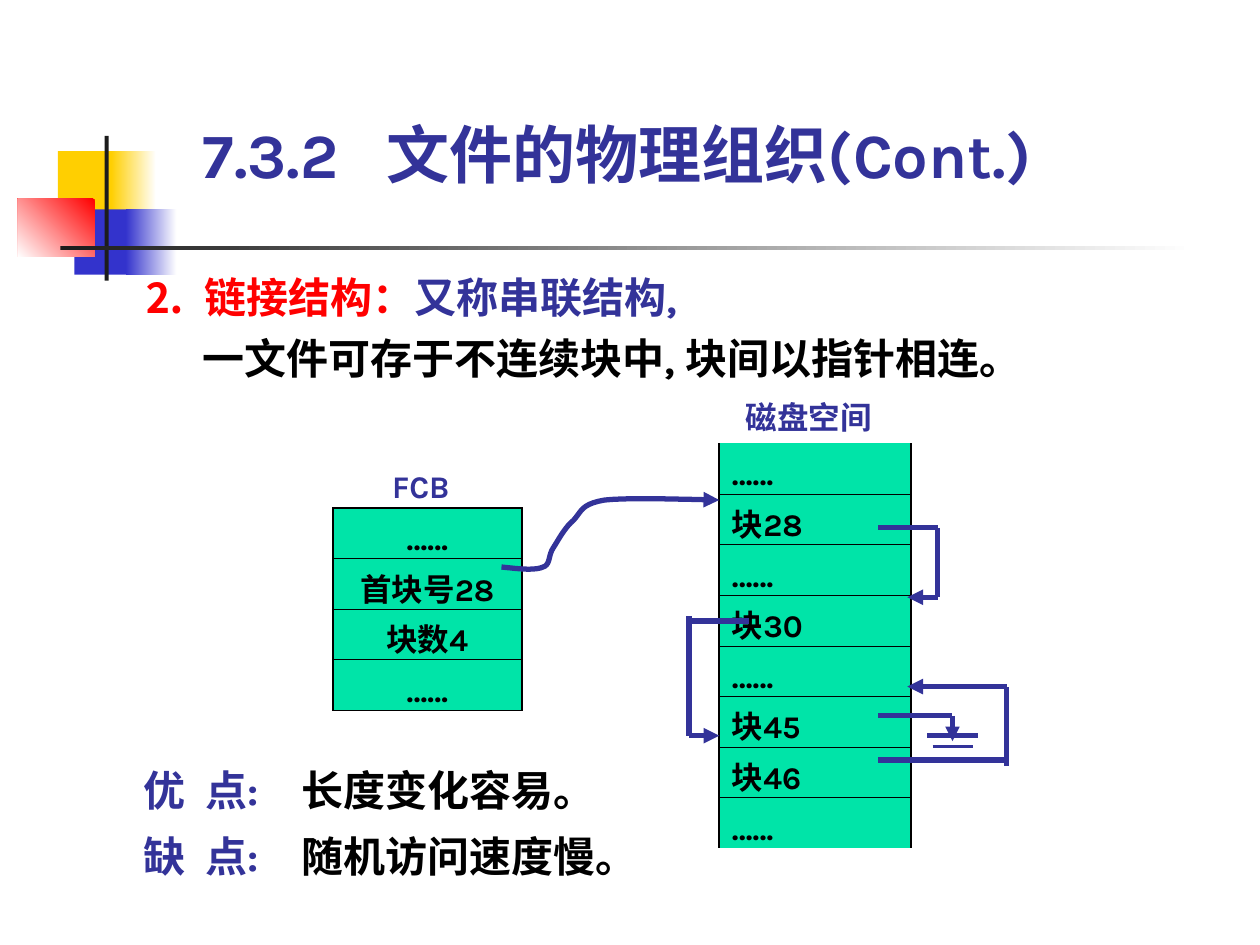
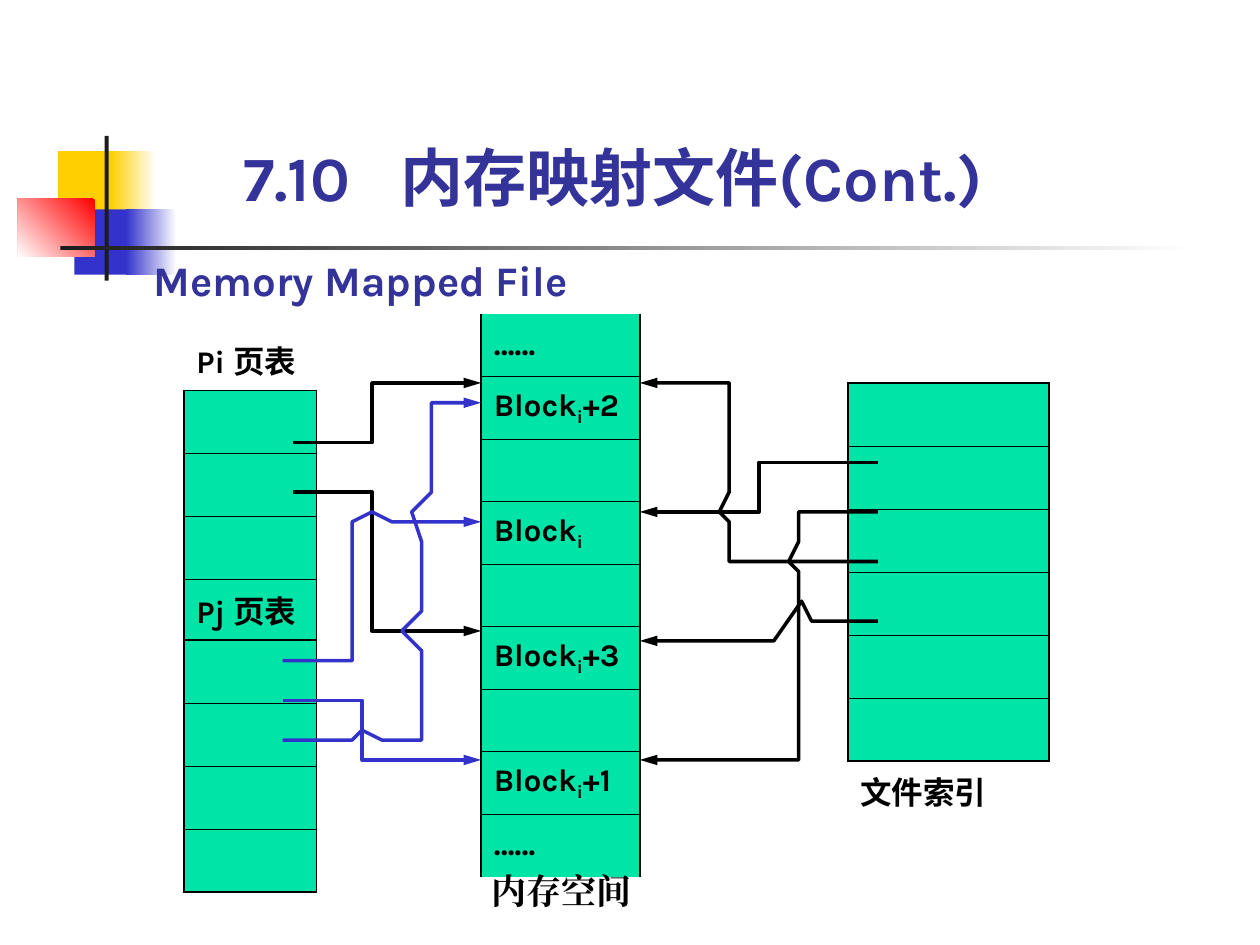
"""Build two slides on linked file blocks and memory mapped files."""
import itertools

import lxml.etree
import pptx
import pptx.dml.color
import pptx.enum.shapes
import pptx.enum.text
import pptx.oxml.ns
import pptx.util

Cm, Pt = pptx.util.Cm, pptx.util.Pt
qn = pptx.oxml.ns.qn
RGB = pptx.dml.color.RGBColor.from_string
Align = pptx.enum.text.PP_ALIGN
Anchor = pptx.enum.text.MSO_ANCHOR
RECT = pptx.enum.shapes.MSO_SHAPE.RECTANGLE
STRAIGHT = pptx.enum.shapes.MSO_CONNECTOR.STRAIGHT
HUE = {
    "navy": "333399", "blue": "3333CC", "red": "FF0000", "gold": "FFCF01",
    "ink": "1C1C1C", "black": "000000", "white": "FFFFFF", "mint": "00E4A8",
}


def write(par, runs, size, font="Karla"):
    """Fill a paragraph with (text, colour[, face or "sub"]) runs."""
    for text, hue, *more in runs:
        run = par.add_run()
        run.text = text
        face = "Arial" if "Arial" in more else font
        run.font.size, run.font.bold, run.font.name = Pt(size), True, face
        run.font.color.rgb = RGB(HUE[hue])
        props = run.font._element
        lxml.etree.SubElement(props, qn("a:ea")).set("typeface", face)
        if "sub" in more:
            props.set("baseline", "-25000")


def grid(slide, left, top, width, pitch, rows, align=Align.LEFT, open_ends=False, drop=0, foot=None):
    """Draw a one-column table of blocks, with an optional bare caption row."""
    texts = rows + ([foot] if foot else [])
    frame = slide.shapes.add_table(len(texts), 1, Cm(left), Cm(top), Cm(width), Cm(pitch * len(texts)))
    table = frame.table
    table.first_row = table.horz_banding = False
    last = len(rows) - 1
    edge = 0 if open_ends else 1.08
    for i, runs in enumerate(texts):
        table.rows[i].height = Cm(pitch if i <= last else 1.07)
        cell = table.cell(i, 0)
        cell.vertical_anchor = Anchor.MIDDLE
        cell.margin_top, cell.margin_bottom = (Cm(drop), 0) if drop else (Cm(0.13), Cm(0.13))
        side = 1.08 if i <= last else 0
        widths = {
            "L": side, "R": side,
            "T": edge if i in (0, last + 1) else 0.45,
            "B": 0.45 if i < last else edge if i == last else 0,
        }
        props = cell._tc.get_or_add_tcPr()
        for name, width_pt in widths.items():
            line = lxml.etree.SubElement(props, qn("a:ln" + name), w=str(Pt(width_pt)))
            if width_pt:
                fill = lxml.etree.SubElement(line, qn("a:solidFill"))
                lxml.etree.SubElement(fill, qn("a:srgbClr"), val=HUE["black"])
            else:
                lxml.etree.SubElement(line, qn("a:noFill"))
        if i <= last:
            cell.fill.solid()
            cell.fill.fore_color.rgb = RGB(HUE["mint"])
        else:
            cell.fill.background()
        par = cell.text_frame.paragraphs[0]
        par.alignment = align
        write(par, runs, 18)


deck = pptx.Presentation()
deck.slide_width, deck.slide_height = Cm(25.4), Cm(19.05)
heads = [
    ("7.3.2\t文件的物理组织(Cont.)", 4.09, 2.34, 18.19, 3.71),
    ("7.10\t内存映射文件(Cont.)", 4.9, 2.79, 16.21, 3.18),
]
slides = []
for text, left, top, width, stop in heads:
    slide = deck.slides.add_slide(deck.slide_layouts[5])
    slides.append(slide)
    title = slide.shapes.title
    title.left, title.top, title.width, title.height = Cm(left), Cm(top), Cm(width), Cm(1.52)
    frame = title.text_frame
    frame.margin_left = frame.margin_right = frame.margin_top = frame.margin_bottom = 0
    frame.vertical_anchor = Anchor.BOTTOM
    frame.auto_size = pptx.enum.text.MSO_AUTO_SIZE.NONE
    par = frame.paragraphs[0]
    par.alignment = Align.LEFT
    tabs = lxml.etree.SubElement(par._p.get_or_add_pPr(), qn("a:tabLst"))
    lxml.etree.SubElement(tabs, qn("a:tab"), pos=str(Cm(stop)), algn="l")
    write(par, [(text, "navy")], 36)
link, memory = slides

marks = [
    (1.17, 3.05, 1.22, 1.32, "gold", None),
    (2.24, 3.05, 0.91, 1.32, "gold", 0),
    (1.5, 4.22, 1.17, 1.32, "blue", None),
    (2.54, 4.22, 1.02, 1.32, "blue", 0),
    (0.36, 4.01, 1.55, 1.17, "red", 225),
    (2.11, 2.74, 0.08, 2.92, "ink", None),
    (1.22, 4.95, 22.86, 0.09, "ink", 0),
]
for left, top, width, height, hue, angle in marks:
    mark = link.shapes.add_shape(RECT, Cm(left), Cm(top), Cm(width), Cm(height))
    mark.shadow.inherit = False
    mark.line.fill.background()
    if angle is None:
        mark.fill.solid()
        mark.fill.fore_color.rgb = RGB(HUE[hue])
    else:
        mark.fill.gradient()
        mark.fill.gradient_angle = angle
        for stop, shade in zip(mark.fill.gradient_stops, (hue, "white")):
            stop.color.rgb = RGB(HUE[shade])
    deck.slide_master.shapes.element.append(mark.element)

notes = [
    (link, 2.9, 5.28, 19.2, 2.44, 24, "Karla", Align.LEFT, 1.2, (1.22,), [
        [("⒉\t", "red", "Arial"), ("链接结构：", "red"), ("又称串联结构,", "navy")],
        [("一文件可存于不连续块中, 块间以指针相连。", "black")]]),
    (link, 2.9, 15.11, 11, 2.64, 24, "Karla", Align.LEFT, 1.3, (1.24, 3.18), [
        [("优\t点:\t", "navy"), ("长度变化容易。", "black")],
        [("缺\t点:\t", "navy"), ("随机访问速度慢。", "black")]]),
    (link, 7.7, 9.42, 1.57, 0.76, 18, "Karla", Align.CENTER, 1, (), [[("FCB", "navy")]]),
    (link, 14.91, 8.03, 2.79, 0.76, 18, "Karla", Align.CENTER, 1, (), [[("磁盘空间", "navy")]]),
    (memory, 3.1, 5.13, 9, 1.02, 24, "Karla", Align.LEFT, 1, (), [[("Memory Mapped File", "navy")]]),
]

grid(link, 6.71, 10.24, 3.81, 1.02,
     [[(text, "black")] for text in ("……", "首块号28", "块数4", "……")], Align.CENTER, drop=0.27)
grid(link, 14.5, 8.94, 3.86, 1.02,
     [[(text, "black")] for text in ("……", "块28", "……", "块30", "……", "块45", "块46", "……")],
     open_ends=True, drop=0.27)
for name, top in (("Pi", 7.87), ("Pj", 12.9)):
    grid(memory, 3.71, top, 2.67, 1.27, [[]] * 4)
    notes.append((memory, 3.96, top - 0.97, 2.54, 0.76, 18, "Karla", Align.LEFT, 1, (),
                  [[(name + " 页表", "black")]]))
notes.append((memory, 9.91, 17.53, 3, 0.84, 20, "Times New Roman", Align.LEFT, 1, (),
              [[("内存空间", "black")]]))
dots = [("……", "black")]
block = [("Block", "black"), ("i", "black", "sub")]
grid(memory, 9.7, 6.33, 3.2, 1.26,
     [dots, block + [("+2", "black")], [], block, [], block + [("+3", "black")], [],
      block + [("+1", "black")], dots], open_ends=True)
grid(memory, 17.09, 7.72, 4.06, 1.27, [[]] * 6, drop=0.27, foot=[("文件索引", "black")])

for slide, left, top, width, height, size, font, align, space, stops, lines in notes:
    box = slide.shapes.add_textbox(Cm(left), Cm(top), Cm(width), Cm(height))
    frame = box.text_frame
    frame.word_wrap = True
    frame.margin_left = frame.margin_right = frame.margin_top = frame.margin_bottom = 0
    for i, runs in enumerate(lines):
        par = frame.add_paragraph() if i else frame.paragraphs[0]
        par.alignment = align
        par.line_spacing = space
        props = par._p.get_or_add_pPr()
        if stops and "\t" in runs[0][0]:
            tabs = lxml.etree.SubElement(props, qn("a:tabLst"))
            for stop in stops:
                lxml.etree.SubElement(tabs, qn("a:tab"), pos=str(Cm(stop)), algn="l")
        elif stops:
            props.set("marL", str(Cm(1.18)))
            props.set("indent", "0")
        write(par, runs, size, font)

bends = [
    (10.11, 11.43), (10.41, 11.46), (10.77, 11.51), (10.95, 11.43),
    (11.1, 11.38), (11.05, 11.2), (11.15, 11.05),
    (11.25, 10.9), (11.38, 10.64), (11.56, 10.49),
    (11.73, 10.31), (11.71, 10.16), (12.19, 10.08),
    (12.67, 10.03), (13.59, 10.06), (14.5, 10.08),
]
curve = bends[:1]
for k, step in itertools.product(range(0, len(bends) - 1, 3), range(1, 11)):
    t = step / 10
    parts = ((1 - t) ** 3, 3 * t * (1 - t) ** 2, 3 * t * t * (1 - t), t ** 3)
    curve.append(tuple(sum(w * p[axis] for w, p in zip(parts, bends[k:k + 4])) for axis in (0, 1)))

wires = [
    ("black", [(5.9, 8.92), (7.5, 8.92), (7.5, 7.72), (9.7, 7.72)]),
    ("black", [(5.9, 9.92), (7.5, 9.92), (7.5, 12.72), (9.7, 12.72)]),
    ("blue", [(5.7, 13.32), (7.1, 13.32), (7.1, 10.52), (7.5, 10.32), (7.9, 10.52), (9.7, 10.52)]),
    ("blue", [(5.7, 14.12), (7.3, 14.12), (7.3, 15.32), (9.7, 15.32)]),
    ("black", [(17.7, 9.32), (15.3, 9.32), (15.3, 10.32), (12.9, 10.32)]),
    ("black", [(17.7, 11.32), (14.7, 11.32), (14.7, 10.52), (14.5, 10.32), (14.7, 9.92),
               (14.7, 7.72), (12.9, 7.72)]),
    ("black", [(17.7, 12.52), (16.36, 12.52), (16.16, 12.12), (15.6, 12.92), (12.9, 12.92)]),
    ("black", [(17.7, 10.32), (16.1, 10.32), (16.1, 10.92), (15.9, 11.32), (16.1, 11.52),
               (16.1, 15.32), (12.9, 15.32)]),
    ("blue", [(5.7, 14.92), (7.1, 14.92), (7.3, 14.72), (7.7, 14.92), (8.5, 14.92), (8.5, 13.12),
              (8.1, 12.72), (8.5, 12.32), (8.5, 10.92), (8.3, 10.32), (8.7, 9.92), (8.7, 8.12),
              (9.7, 8.12)]),
]
paths = [(link, "navy", 3, "med", curve)] + [(memory, hue, 2, "lg", dots) for hue, dots in wires]
for slide, hue, width, length, spots in paths:
    spots = [(Cm(x), Cm(y)) for x, y in spots]
    pen = slide.shapes.build_freeform(*spots[0])
    pen.add_line_segments(spots[1:], close=False)
    wire = pen.convert_to_shape()
    wire.shadow.inherit = False
    wire.fill.background()
    wire.line.color.rgb = RGB(HUE[hue])
    wire.line.width = Pt(width)
    line = wire.element.spPr.find(qn("a:ln"))
    lxml.etree.SubElement(line, qn("a:tailEnd"), type="triangle", w="med", len=length)

hops = [
    (17.7, 10.64, 18.9, 10.64, 3, False),
    (18.9, 10.64, 18.9, 12.04, 3, False),
    (18.9, 12.04, 18.29, 12.04, 3, True),
    (13.89, 12.52, 15.09, 12.52, 3, False),
    (13.89, 12.42, 13.89, 14.83, 3, False),
    (13.89, 14.83, 14.5, 14.83, 3, True),
    (17.7, 15.32, 20.29, 15.32, 3, False),
    (20.29, 15.44, 20.29, 13.84, 3, False),
    (20.29, 13.84, 18.29, 13.84, 3, True),
    (17.7, 14.43, 19.2, 14.43, 3, False),
    (19.2, 14.43, 19.2, 14.94, 2.75, True),
    (18.69, 14.83, 19.71, 14.83, 2.75, False),
    (18.8, 15.04, 19.61, 15.04, 1.75, False),
]
for *ends, width, arrow in hops:
    hop = link.shapes.add_connector(STRAIGHT, *map(Cm, ends))
    hop.line.color.rgb = RGB(HUE["navy"])
    hop.line.width = Pt(width)
    props = hop.element.spPr
    if arrow:
        lxml.etree.SubElement(props.find(qn("a:ln")), qn("a:tailEnd"), type="triangle")
    lxml.etree.SubElement(props, qn("a:effectLst"))

deck.save("out.pptx")
